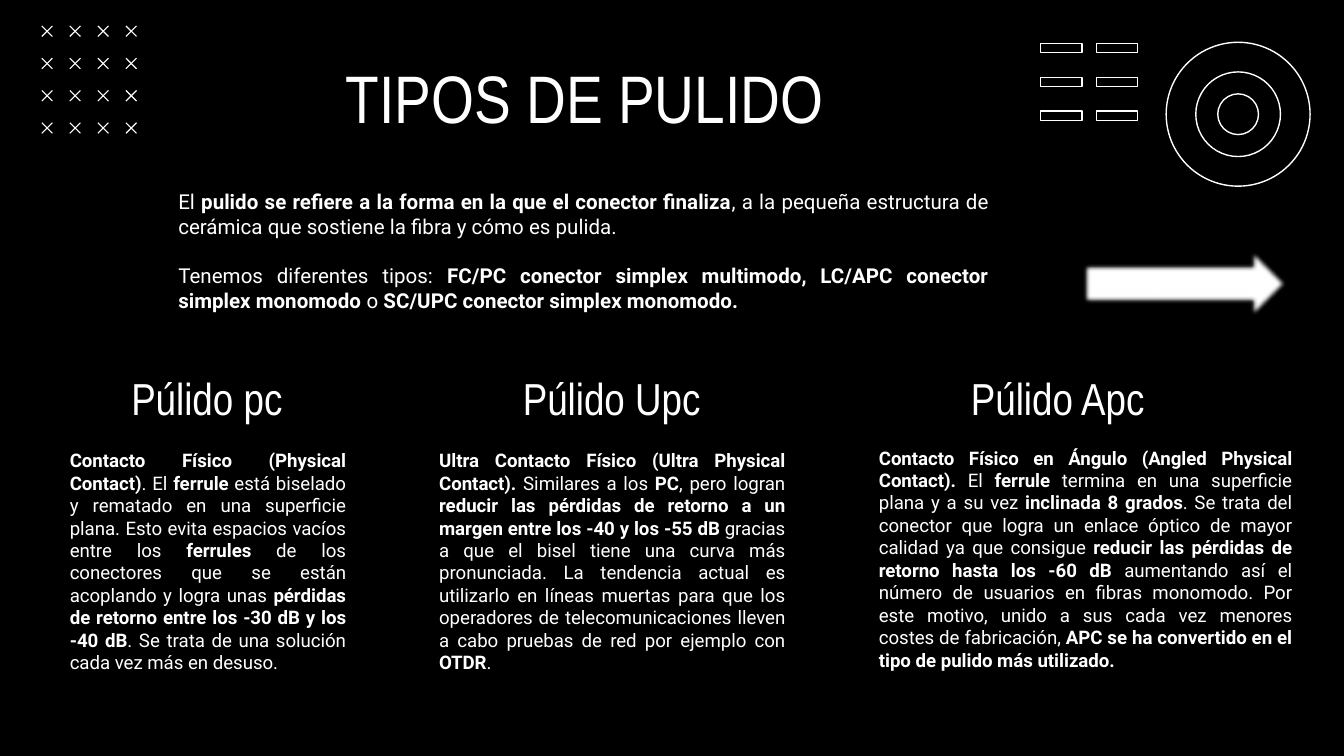
from dataclasses import dataclass
from itertools import product
from lxml.etree import SubElement
from pptx import Presentation
from pptx.dml.color import RGBColor
from pptx.enum.shapes import MSO_CONNECTOR, MSO_SHAPE
from pptx.enum.text import MSO_ANCHOR, MSO_AUTO_SIZE, PP_ALIGN
from pptx.oxml.ns import qn
from pptx.util import Cm, Pt


@dataclass
class Theme:
    back: RGBColor = RGBColor(0, 0, 0)
    ink: RGBColor = RGBColor(255, 255, 255)
    edge: RGBColor = RGBColor(0xBD, 0xBD, 0xBD)
    head: str = "Arial Narrow"
    body: str = "Roboto"
    title: float = 36
    sub: float = 24
    lead: float = 11
    text: float = 10


def apply(item, values):
    for key, value in values.items():
        setattr(item, key, value)


class Page:
    def __init__(self, slide, theme):
        self.slide, self.theme = slide, theme
        fill = slide.background.fill
        fill.solid()
        fill.fore_color.rgb = theme.back

    def put(self, shape, parts, font, size, align, pad, gap=0, anchor=MSO_ANCHOR.TOP):
        frame = shape.text_frame
        side, top = (Cm(n) for n in pad)
        apply(frame, {"word_wrap": True, "auto_size": MSO_AUTO_SIZE.NONE,
                      "vertical_anchor": anchor, "margin_left": side,
                      "margin_right": side, "margin_top": top, "margin_bottom": top})
        for spot, part in enumerate(parts):
            para = frame.add_paragraph() if spot else frame.paragraphs[0]
            apply(para, {"alignment": align, "space_before": Pt(gap if spot else 0),
                         "line_spacing": 1.0})
            for turn, words in enumerate(part.split("*")):
                if words:
                    run = para.add_run()
                    run.text = words
                    apply(run.font, {"name": font, "size": Pt(size), "bold": turn % 2 == 1})
                    run.font.color.rgb = self.theme.ink

    def title(self, words, x, y, w, h):
        shape = self.slide.shapes.title
        apply(shape, {"left": Cm(x), "top": Cm(y), "width": Cm(w), "height": Cm(h)})
        self.put(shape, [words], self.theme.head, self.theme.title,
                 PP_ALIGN.CENTER, (0.25, 0.25), anchor=MSO_ANCHOR.MIDDLE)

    def box(self, x, y, w, h):
        return self.slide.shapes.add_textbox(Cm(x), Cm(y), Cm(w), Cm(h))

    def label(self, words, x, y, w, h):
        self.put(self.box(x, y, w, h), [words], self.theme.head, self.theme.sub,
                 PP_ALIGN.CENTER, (0.25, 0.25))

    def prose(self, parts, size, x, y, w, h):
        self.put(self.box(x, y, w, h), parts, self.theme.body, size,
                 PP_ALIGN.JUSTIFY, (0.25, 0.13), gap=13)

    def frame(self, kind, x, y, w, h):
        shape = self.slide.shapes.add_shape(kind, Cm(x), Cm(y), Cm(w), Cm(h))
        shape.shadow.inherit = False
        shape.fill.background()
        shape.line.color.rgb = self.theme.ink
        shape.line.width = Pt(0.75)
        return shape

    def arrow(self, x, y, w, h):
        shape = self.frame(MSO_SHAPE.RIGHT_ARROW, x, y, w, h)
        shape.fill.solid()
        shape.fill.fore_color.rgb = self.theme.ink
        shape.line.color.rgb = self.theme.edge
        shape.line.width = Pt(2)
        glow = shape._element.spPr.find(qn("a:effectLst"))
        SubElement(glow, qn("a:softEdge")).set("rad", str(int(Pt(2.5))))

    def cross(self, x, y, arm):
        for rise in (-arm, arm):
            line = self.slide.shapes.add_connector(
                MSO_CONNECTOR.STRAIGHT, Cm(x - arm), Cm(y - rise), Cm(x + arm), Cm(y + rise))
            line.line.color.rgb = self.theme.ink
            line.line.width = Pt(0.6)
            SubElement(line._element.spPr, qn("a:effectLst"))


INTRO = [
    "El *pulido se refiere a la forma en la que el conector finaliza*, a la pequeña "
    "estructura de cerámica que sostiene la fibra y cómo es pulida.",
    "Tenemos diferentes tipos: *FC/PC conector simplex multimodo, LC/APC conector "
    "simplex monomodo *o* SC/UPC conector simplex monomodo.*",
]
TYPES = [
    ("Púlido pc", 1.88, (1.07, 8.36, 5.72),
     "*Contacto Físico (Physical Contact)*. El *ferrule* está biselado y rematado en una "
     "superficie plana. Esto evita espacios vacíos entre los *ferrules* de los conectores "
     "que se están acoplando y logra unas *pérdidas de retorno entre los -30 dB y los "
     "-40 dB*. Se trata de una solución cada vez más en desuso."),
    ("Púlido Upc", 9.53, (8.05, 8.36, 7.04),
     "*Ultra Contacto Físico (Ultra Physical Contact). *Similares a los *PC*, pero logran "
     "*reducir las pérdidas de retorno a un margen entre los -40 y los -55 dB *gracias a "
     "que el bisel tiene una curva más pronunciada. La tendencia actual es utilizarlo en "
     "líneas muertas para que los operadores de telecomunicaciones lleven a cabo pruebas "
     "de red por ejemplo con *OTDR*."),
    ("Púlido Apc", 17.96, (16.36, 8.31, 8.31),
     "*Contacto Físico en Ángulo (Angled Physical Contact). *El *ferrule* termina en una "
     "superficie plana y a su vez *inclinada 8 grados*. Se trata del conector que logra un "
     "enlace óptico de mayor calidad ya que consigue *reducir las pérdidas de retorno hasta "
     "los -60 dB *aumentando así el número de usuarios en fibras monomodo. Por este motivo, "
     "unido a sus cada vez menores costes de fabricación, *APC se ha convertido en el tipo "
     "de pulido más utilizado.*"),
]


def main():
    deck = Presentation()
    apply(deck, {"slide_width": Cm(25.4), "slide_height": Cm(14.29)})
    theme = Theme()
    page = Page(deck.slides.add_slide(deck.slide_layouts[5]), theme)

    for col, row in product(range(4), range(4)):
        page.cross(0.89 + col * 0.53, 0.59 + row * 0.61, 0.1)
    for col, row in product(range(2), range(3)):
        page.frame(MSO_SHAPE.RECTANGLE, 19.67 + col * 1.05, 0.82 + row * 0.64, 0.78, 0.18)
    for size in (2.72, 1.6, 0.77):
        page.frame(MSO_SHAPE.OVAL, 23.4 - size / 2, 2.16 - size / 2, size, size)

    page.title("TIPOS DE PULIDO", 5.59, 1.17, 10.92, 1.32)
    page.prose(INTRO, theme.lead, 3.12, 3.45, 15.82, 2.62)
    for name, left, (x, y, w), words in TYPES:
        page.label(name, left, 6.76, 4.06, 1.19)
        page.prose([words], theme.text, x, y, w, 4.52)
    page.arrow(20.5, 4.65, 3.86, 1.42)
    deck.save("out.pptx")


if __name__ == "__main__":
    main()
